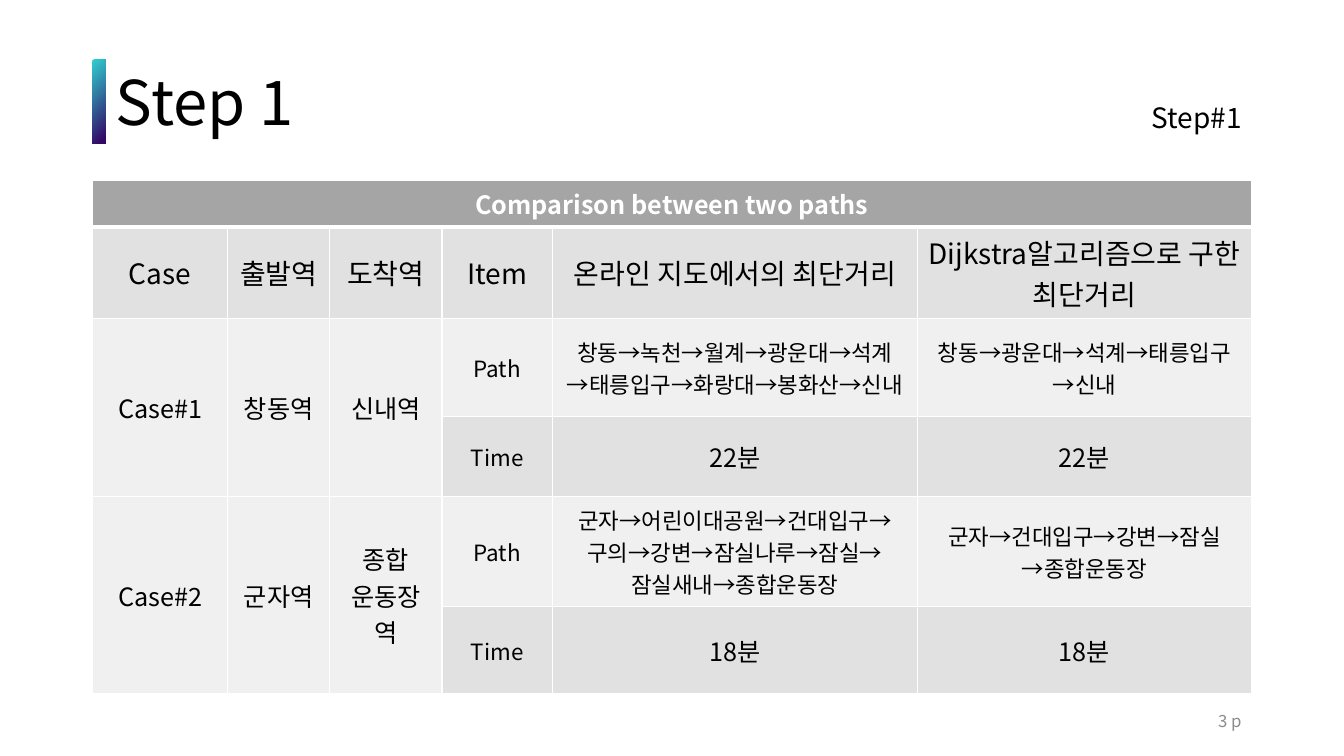
from lxml import etree
from pptx import Presentation
from pptx.dml.color import RGBColor
from pptx.enum.shapes import MSO_SHAPE
from pptx.enum.text import MSO_ANCHOR, PP_ALIGN
from pptx.oxml.ns import qn
from pptx.util import Pt

PX = 9525
RECT = MSO_SHAPE.RECTANGLE
TOP, MIDDLE = MSO_ANCHOR.TOP, MSO_ANCHOR.MIDDLE
LEFT, CENTER, RIGHT = PP_ALIGN.LEFT, PP_ALIGN.CENTER, PP_ALIGN.RIGHT

BLACK = RGBColor(0x00, 0x00, 0x00)
WHITE = RGBColor(0xFF, 0xFF, 0xFF)
GRAY = RGBColor(0x8C, 0x8C, 0x8C)
HEAD = RGBColor(0xA5, 0xA5, 0xA5)
DARK = RGBColor(0xE1, 0xE1, 0xE1)
LIGHT = RGBColor(0xF0, 0xF0, 0xF0)
TEAL = RGBColor(0x30, 0xCF, 0xD0)
PURPLE = RGBColor(0x33, 0x08, 0x67)

COLS = [129, 97, 107, 105, 348, 318]
ROWS = [44, 87, 94, 76, 105, 83]
LABELS = ["Case", "출발역", "도착역", "Item",
          "온라인 지도에서의 최단거리", "Dijkstra알고리즘으로 구한 최단거리"]
CASES = [
    (["Case#1", "창동역", "신내역"],
     ["창동→녹천→월계→광운대→석계\n→태릉입구→화랑대→봉화산→신내",
      "창동→광운대→석계→태릉입구\n→신내"],
     "22분"),
    (["Case#2", "군자역", "종합\n운동장역"],
     ["군자→어린이대공원→건대입구→구의→강변→잠실나루→잠실→잠실새내→종합운동장",
      "군자→건대입구→강변→잠실\n→종합운동장"],
     "18분"),
]


class Deck:
    def __init__(self, font):
        self.font = font
        self.prs = Presentation()
        self.prs.slide_width = 1280 * PX
        self.prs.slide_height = 720 * PX
        self.slide = self.prs.slides.add_slide(self.prs.slide_layouts[6])

    def put(self, frame, text, size, color, align, bold=False, gap=None):
        """Fill a text frame, one paragraph a line, in one style."""
        frame.text = text
        for para in frame.paragraphs:
            para.alignment = align
            para.line_spacing = gap
            font = para.font
            font.size, font.bold, font.name = Pt(size), bold, self.font
            font.color.rgb = color
            style = para._p.pPr.find(qn("a:defRPr"))
            etree.SubElement(style, qn("a:ea"), typeface=self.font)

    def text(self, box, text, size, color=BLACK, align=LEFT, anchor=MIDDLE, gap=None):
        shape = self.slide.shapes.add_textbox(*[v * PX for v in box])
        frame = shape.text_frame
        frame.word_wrap = True
        frame.vertical_anchor = anchor
        self.put(frame, text, size, color, align, gap=gap)

    def bar(self, box, first, last):
        shape = self.slide.shapes.add_shape(RECT, *[v * PX for v in box])
        shape.shadow.inherit = False
        shape.line.fill.background()
        shape.fill.gradient()
        shape.fill.gradient_angle = 315
        stops = shape.fill.gradient_stops
        for stop, color, place in zip(stops, (first, last), (0, 0.94)):
            stop.color.rgb = color
            stop.position = place

    def table(self, left, top, cols, rows):
        frame = self.slide.shapes.add_table(
            len(rows), len(cols), left * PX, top * PX, sum(cols) * PX, sum(rows) * PX)
        grid = frame.table
        for col, width in zip(grid.columns, cols):
            col.width = width * PX
        for row, height in zip(grid.rows, rows):
            row.height = height * PX
        for r in range(len(rows)):
            for c in range(len(cols)):
                self.edge(grid.cell(r, c), 3 if r == 1 else 1, 3 if r == 0 else 1)
        return grid

    def edge(self, cell, above, below):
        """Draw white cell borders, with the top and bottom widths in points."""
        props = cell._tc.get_or_add_tcPr()
        for side, width in (("L", 1), ("R", 1), ("T", above), ("B", below)):
            line = etree.SubElement(props, qn("a:ln" + side), w=str(Pt(width)))
            fill = etree.SubElement(line, qn("a:solidFill"))
            etree.SubElement(fill, qn("a:srgbClr"), val=str(WHITE))

    def cell(self, cell, text, size, fill, color=BLACK, bold=False):
        cell.fill.solid()
        cell.fill.fore_color.rgb = fill
        cell.vertical_anchor = MIDDLE
        self.put(cell.text_frame, text, size, color, CENTER, bold)


def main():
    deck = Deck("Noto Sans CJK KR")
    deck.bar((88, 57, 13, 80), TEAL, PURPLE)
    deck.text((101, 49, 306, 104), "Step 1", 44, gap=0.9)
    deck.text((975, 95, 217, 44), "Step#1", 20, align=RIGHT, anchor=TOP, gap=0.9)

    grid = deck.table(88, 172, COLS, ROWS)
    grid.cell(0, 0).merge(grid.cell(0, 5))
    deck.cell(grid.cell(0, 0), "Comparison between two paths", 18, HEAD, WHITE, True)
    for c, label in enumerate(LABELS):
        deck.cell(grid.cell(1, c), label, 20, DARK)
    for i, (names, paths, time) in enumerate(CASES):
        r = 2 + 2 * i
        for c, name in enumerate(names):
            grid.cell(r, c).merge(grid.cell(r + 1, c))
            deck.cell(grid.cell(r, c), name, 18, LIGHT)
        deck.cell(grid.cell(r, 3), "Path", 16, LIGHT)
        deck.cell(grid.cell(r + 1, 3), "Time", 16, DARK)
        for c, route in enumerate(paths, 4):
            deck.cell(grid.cell(r, c), route, 16, LIGHT)
            deck.cell(grid.cell(r + 1, c), time, 18, DARK)

    deck.text((904, 667, 288, 38), "3 p", 12, GRAY, RIGHT)
    deck.prs.save("out.pptx")


if __name__ == "__main__":
    main()
